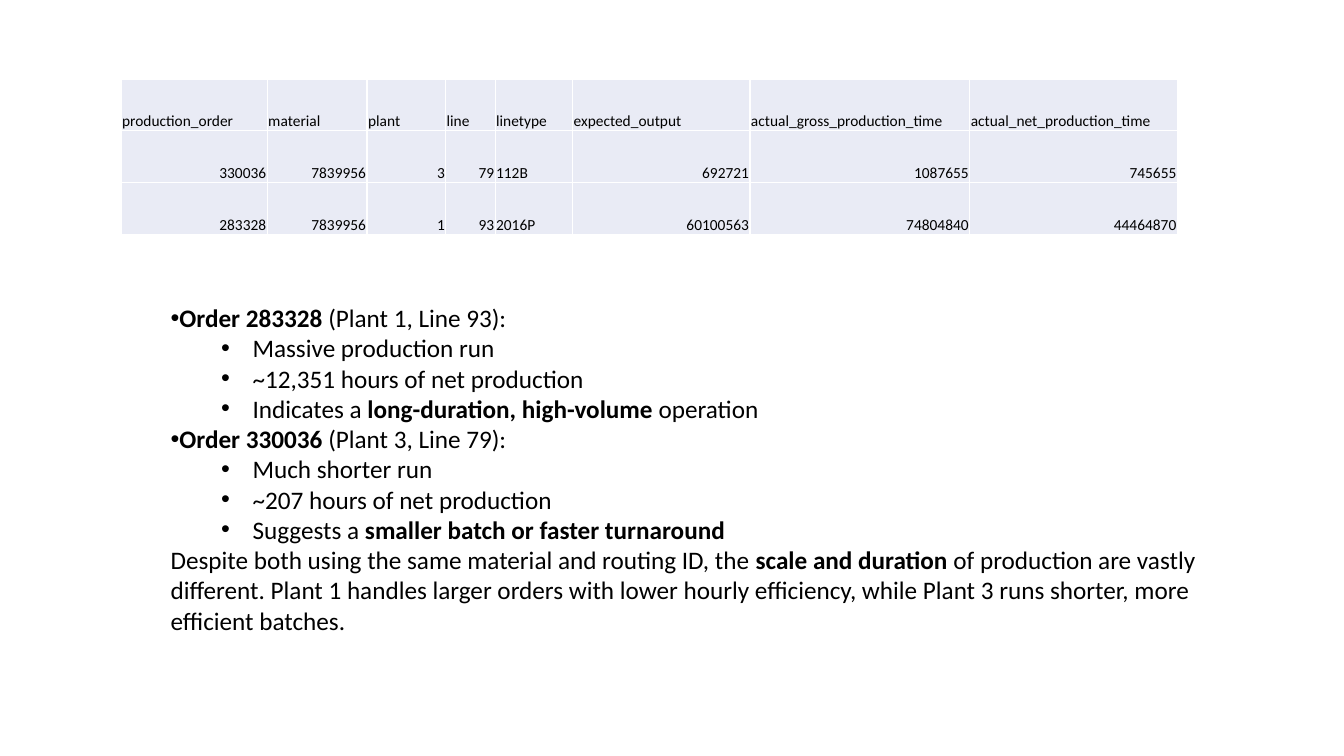
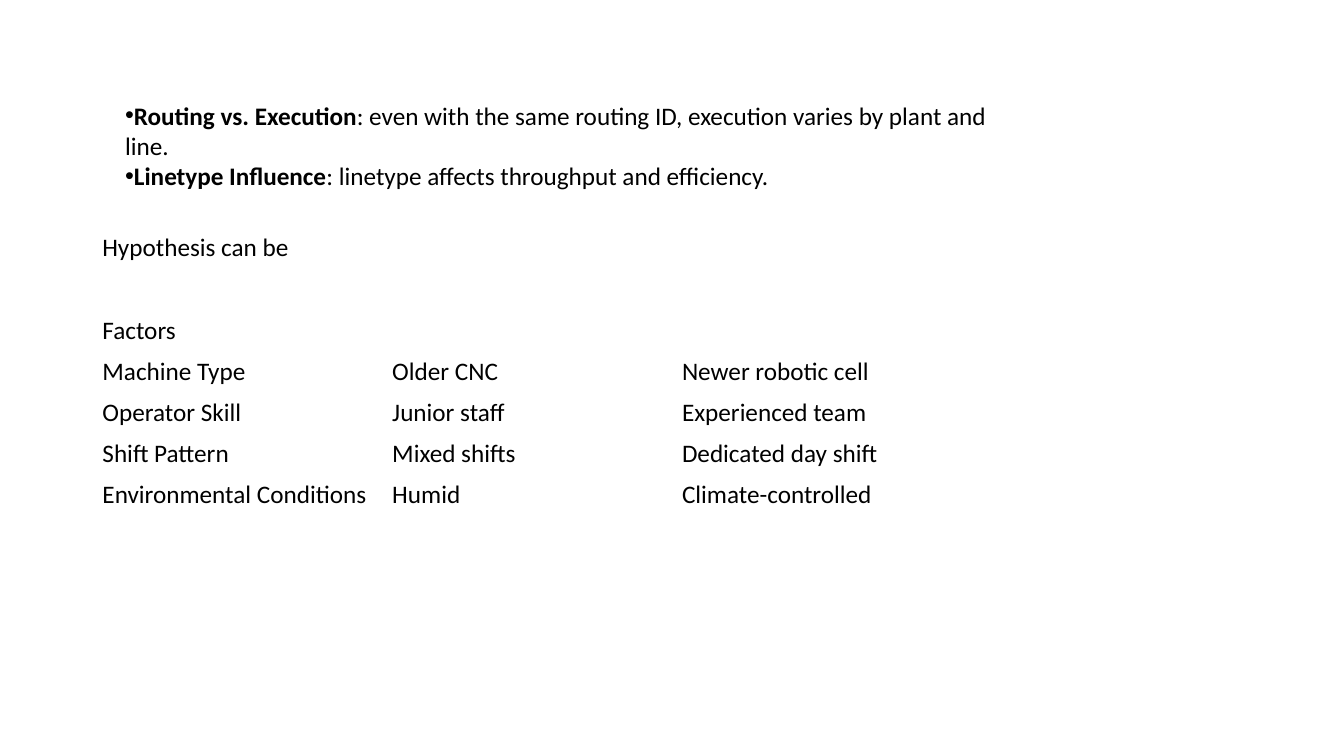
from dataclasses import dataclass

from lxml import etree
from pptx import Presentation
from pptx.dml.color import RGBColor
from pptx.enum import text
from pptx.oxml import ns
from pptx.util import Pt


@dataclass(frozen=True)
class Theme:
    font: str = "Calibri"
    ink: RGBColor = RGBColor(0, 0, 0)
    cell: RGBColor = RGBColor(0xE9, 0xEB, 0xF5)
    rule: str = "FFFFFF"
    body_size: int = 18
    data_size: int = 11


theme = Theme()


def write_runs(paragraph, marked, size):
    for index, part in enumerate(marked.split("**")):
        if part:
            run = paragraph.add_run()
            run.text = part
            run.font.name = theme.font
            run.font.size = Pt(size)
            run.font.bold = index % 2 == 1
            run.font.color.rgb = theme.ink


def add_grid(slide, left, top, widths, row_height, rows, size):
    grid = slide.shapes.add_table(
        len(rows), len(widths), Pt(left), Pt(top), Pt(sum(widths)), Pt(row_height * len(rows))
    ).table
    grid.first_row = grid.horz_banding = False
    for column, width in zip(grid.columns, widths):
        column.width = Pt(width)
    for row, values in zip(grid.rows, rows):
        row.height = Pt(row_height)
        for cell, value in zip(row.cells, values):
            paragraph = cell.text_frame.paragraphs[0]
            write_runs(paragraph, value, size)
            if value.isdigit():
                paragraph.alignment = text.PP_ALIGN.RIGHT
    return grid


deck = Presentation()
deck.slide_width, deck.slide_height = Pt(960), Pt(540)
orders_slide, factors_slide = [deck.slides.add_slide(deck.slide_layouts[1]) for _ in range(2)]

orders = add_grid(
    orders_slide, 86.5, 56.5, [104.4, 71.3, 56.2, 35.3, 55.4, 126.7, 157, 148.3], 37,
    [
        ["production_order", "material", "plant", "line", "linetype", "expected_output",
         "actual_gross_production_time", "actual_net_production_time"],
        ["330036", "7839956", "3", "79", "112B", "692721", "1087655", "745655"],
        ["283328", "7839956", "1", "93", "2016P", "60100563", "74804840", "44464870"],
    ],
    theme.data_size,
)
for cell in orders.iter_cells():
    cell.vertical_anchor = text.MSO_ANCHOR.BOTTOM
    cell.margin_left = cell.margin_right = cell.margin_top = Pt(0.7)
    cell.margin_bottom = 0
    properties = cell._tc.get_or_add_tcPr()
    for side in ("lnL", "lnR", "lnT", "lnB"):
        border = etree.SubElement(properties, ns.qn(f"a:{side}"), w=str(Pt(1)))
        paint = etree.SubElement(border, ns.qn("a:solidFill"))
        etree.SubElement(paint, ns.qn("a:srgbClr"), val=theme.rule)
    cell.fill.solid()
    cell.fill.fore_color.rgb = theme.cell

factors = add_grid(
    factors_slide, 66, 221.8, [207] * 4, 28.8,
    [
        ["Factors"],
        ["Machine Type", "Older CNC", "Newer robotic cell"],
        ["Operator Skill", "Junior staff", "Experienced team"],
        ["Shift Pattern", "Mixed shifts", "Dedicated day shift"],
        ["Environmental Conditions", "Humid", "Climate-controlled"],
    ],
    theme.body_size,
)
for cell in factors.iter_cells():
    cell.vertical_anchor = text.MSO_ANCHOR.MIDDLE
    cell.fill.background()

hypothesis = factors_slide.shapes.add_textbox(Pt(66), Pt(162), Pt(782), Pt(29)).text_frame
hypothesis.word_wrap = True
write_runs(hypothesis.paragraphs[0], "Hypothesis can be", theme.body_size)

order_findings = [
    (0, "•", "**Order 283328** (Plant 1, Line 93):"),
    (1, "•", "Massive production run"),
    (1, "•", "~12,351 hours of net production"),
    (1, "•", "Indicates a **long-duration, high-volume** operation"),
    (0, "•", "**Order 330036** (Plant 3, Line 79):"),
    (1, "•", "Much shorter run"),
    (1, "•", "~207 hours of net production"),
    (1, "•", "Suggests a **smaller batch or faster turnaround**"),
    (0, None, "Despite both using the same material and routing ID, the **scale and duration** of "
              "production are vastly different. Plant 1 handles larger orders with lower hourly "
              "efficiency, while Plant 3 runs shorter, more efficient batches."),
]
execution_findings = [
    (0, "•", "**Routing vs. Execution**: even with the same routing ID, execution varies by plant and line."),
    (0, "•", "**Linetype Influence**: linetype affects throughput and efficiency."),
]
indents = [(0, 0), (58.5, -22.5)]

for slide, (left, top, width, height), findings in [
    (orders_slide, (114.7, 212.4, 754.6, 247), order_findings),
    (factors_slide, (82.2, 67.7, 640, 138), execution_findings),
]:
    title = slide.shapes.title
    title.element.getparent().remove(title.element)
    body = slide.placeholders[1]
    body.left, body.top, body.width, body.height = Pt(left), Pt(top), Pt(width), Pt(height)
    frame = body.text_frame
    frame.word_wrap = True
    frame.auto_size = text.MSO_AUTO_SIZE.NONE
    for index, (level, bullet, finding) in enumerate(findings):
        paragraph = frame.add_paragraph() if index else frame.paragraphs[0]
        paragraph.level = level
        paragraph.space_before = Pt(0)
        margin, indent = indents[level]
        properties = paragraph._p.get_or_add_pPr()
        properties.set("marL", str(Pt(margin)))
        properties.set("indent", str(Pt(indent)))
        if bullet:
            etree.SubElement(properties, ns.qn("a:buFont"), typeface="Arial")
            etree.SubElement(properties, ns.qn("a:buChar"), char=bullet)
        else:
            etree.SubElement(properties, ns.qn("a:buNone"))
        write_runs(paragraph, finding, theme.body_size)

deck.save("out.pptx")
